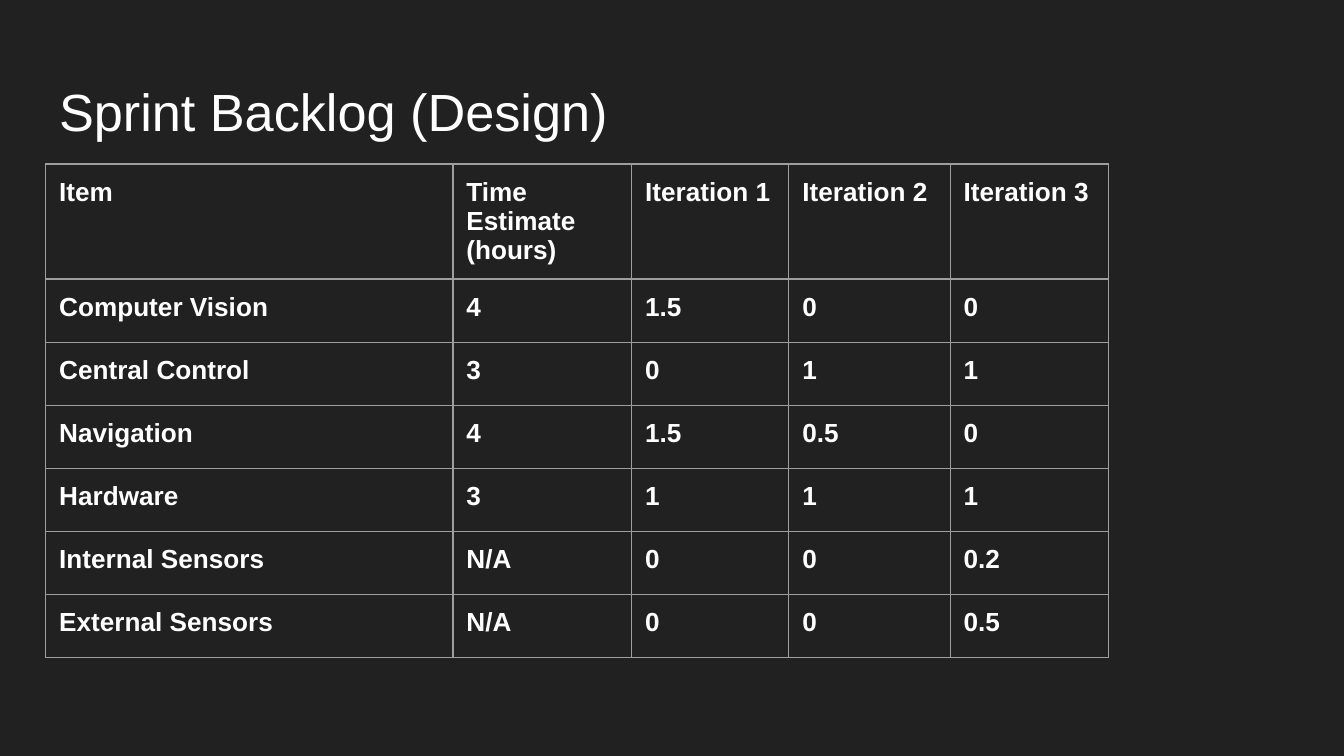
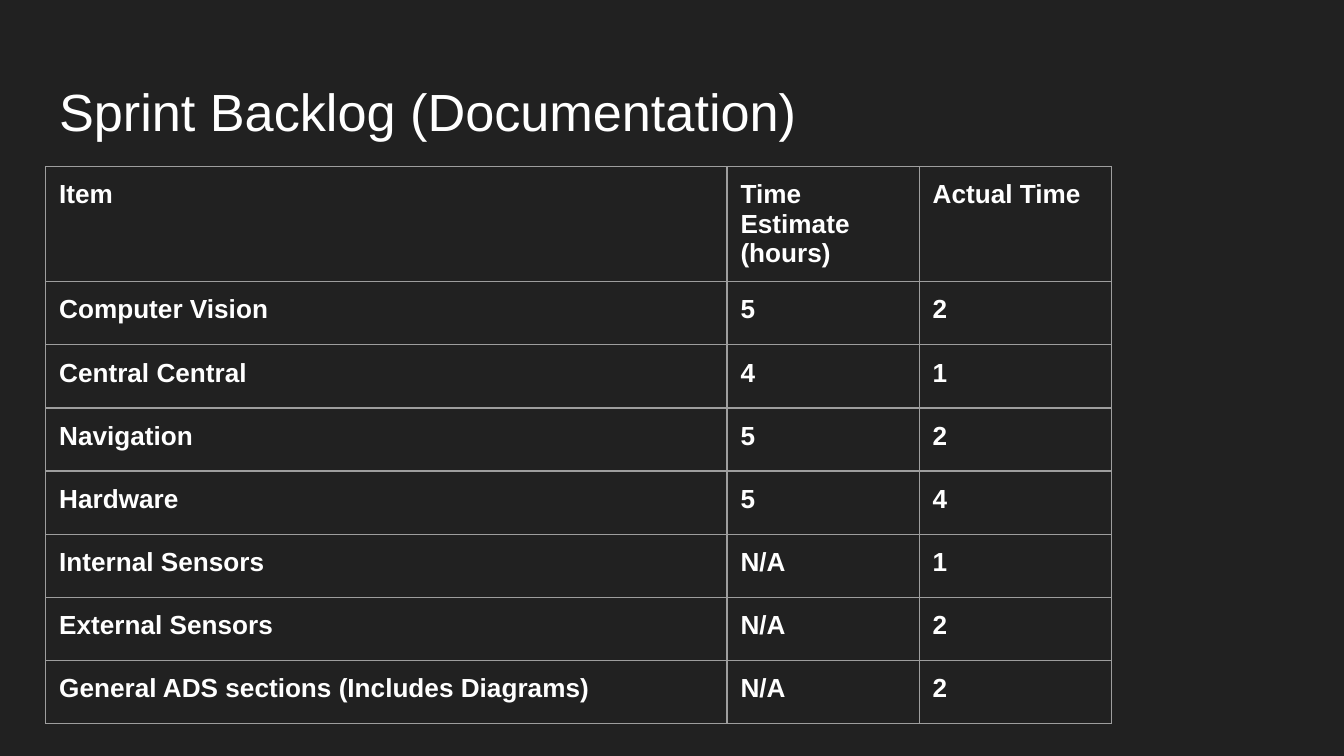
from lxml import etree
from pptx import Presentation
from pptx import util as u
from pptx.dml import color
from pptx.enum import text
from pptx.oxml import ns

COLORS = {"background": "212121", "text": "FFFFFF", "border": "9E9E9E"}
FONT = "Arial"
MARGIN = u.Inches(0.1)
HEADER_HEIGHT, ROW_HEIGHT = 0.72, 0.47
TITLE_BOX = (0.34, 0.49, 9.32, 0.63)

DESIGN_ROWS = [
    ("Item", "Time Estimate (hours)", "Iteration 1", "Iteration 2", "Iteration 3"),
    ("Computer Vision", "4", "1.5", "0", "0"),
    ("Central Control", "3", "0", "1", "1"),
    ("Navigation", "4", "1.5", "0.5", "0"),
    ("Hardware", "3", "1", "1", "1"),
    ("Internal Sensors", "N/A", "0", "0", "0.2"),
    ("External Sensors", "N/A", "0", "0", "0.5"),
]
DOCUMENTATION_ROWS = [
    ("Item", "Time Estimate (hours)", "Actual Time"),
    ("Computer Vision", "5", "2"),
    ("Central Central", "4", "1"),
    ("Navigation", "5", "2"),
    ("Hardware", "5", "4"),
    ("Internal Sensors", "N/A", "1"),
    ("External Sensors", "N/A", "2"),
    ("General ADS sections (Includes Diagrams)", "N/A", "2"),
]


def rgb(name):
    """Return the named palette colour."""
    return color.RGBColor.from_string(COLORS[name])


def write(frame, wording, size=14, bold=False):
    """Write one left-aligned paragraph into a text frame."""
    para = frame.paragraphs[0]
    para.alignment = text.PP_ALIGN.LEFT
    para.line_spacing = 1.0
    span = para.add_run()
    span.text = wording
    span.font.name = FONT
    span.font.size = u.Pt(size)
    span.font.bold = bold
    span.font.color.rgb = rgb("text")


def set_margins(holder):
    """Give a cell or text frame the shared inner margins."""
    holder.margin_left = holder.margin_right = MARGIN
    holder.margin_top = holder.margin_bottom = MARGIN


def add_borders(cell):
    """Draw a thin line on all four sides of a cell."""
    properties = cell._tc.get_or_add_tcPr()
    for index, side in enumerate(("lnL", "lnR", "lnT", "lnB")):
        line = etree.Element(ns.qn(f"a:{side}"), w=str(u.Pt(0.75)))
        fill = etree.SubElement(line, ns.qn("a:solidFill"))
        etree.SubElement(fill, ns.qn("a:srgbClr"), val=COLORS["border"])
        properties.insert(index, line)


def place_title(page, box, wording):
    """Place the title placeholder in its box."""
    title = page.shapes.title
    title.left, title.top, title.width, title.height = map(u.Inches, box)
    frame = title.text_frame
    frame.auto_size = text.MSO_AUTO_SIZE.NONE
    frame.vertical_anchor = text.MSO_ANCHOR.TOP
    frame.word_wrap = True
    set_margins(frame)
    write(frame, wording, size=28)


def place_table(page, left, top, widths, rows):
    """Place a bordered backlog table from its top left corner."""
    height = HEADER_HEIGHT + ROW_HEIGHT * (len(rows) - 1)
    box = map(u.Inches, (left, top, sum(widths), height))
    table = page.shapes.add_table(len(rows), len(widths), *box).table
    table.first_row = table.horz_banding = False
    for column, width in zip(table.columns, widths):
        column.width = u.Inches(width)
    for index, (row, values) in enumerate(zip(table.rows, rows)):
        row.height = u.Inches(ROW_HEIGHT if index else HEADER_HEIGHT)
        for cell, value in zip(row.cells, values):
            cell.fill.background()
            set_margins(cell)
            add_borders(cell)
            write(cell.text_frame, value, bold=True)


def add_backlog(deck, title, top, widths, rows):
    """Add a slide with a title and a backlog table."""
    page = deck.slides.add_slide(deck.slide_layouts.get_by_name("Title Only"))
    place_title(page, TITLE_BOX, title)
    place_table(page, TITLE_BOX[0], top, widths, rows)


def main():
    """Build and save the deck."""
    deck = Presentation()
    deck.slide_width = u.Inches(10)
    deck.slide_height = deck.slide_width * 9 // 16
    background = deck.slide_master.background.fill
    background.solid()
    background.fore_color.rgb = rgb("background")
    add_backlog(deck, "Sprint Backlog (Design)", 1.22,
                (3.03, 1.33, 1.17, 1.2, 1.18), DESIGN_ROWS)
    add_backlog(deck, "Sprint Backlog (Documentation)", 1.24,
                (5.07, 1.43, 1.43), DOCUMENTATION_ROWS)
    deck.save("out.pptx")


main()
